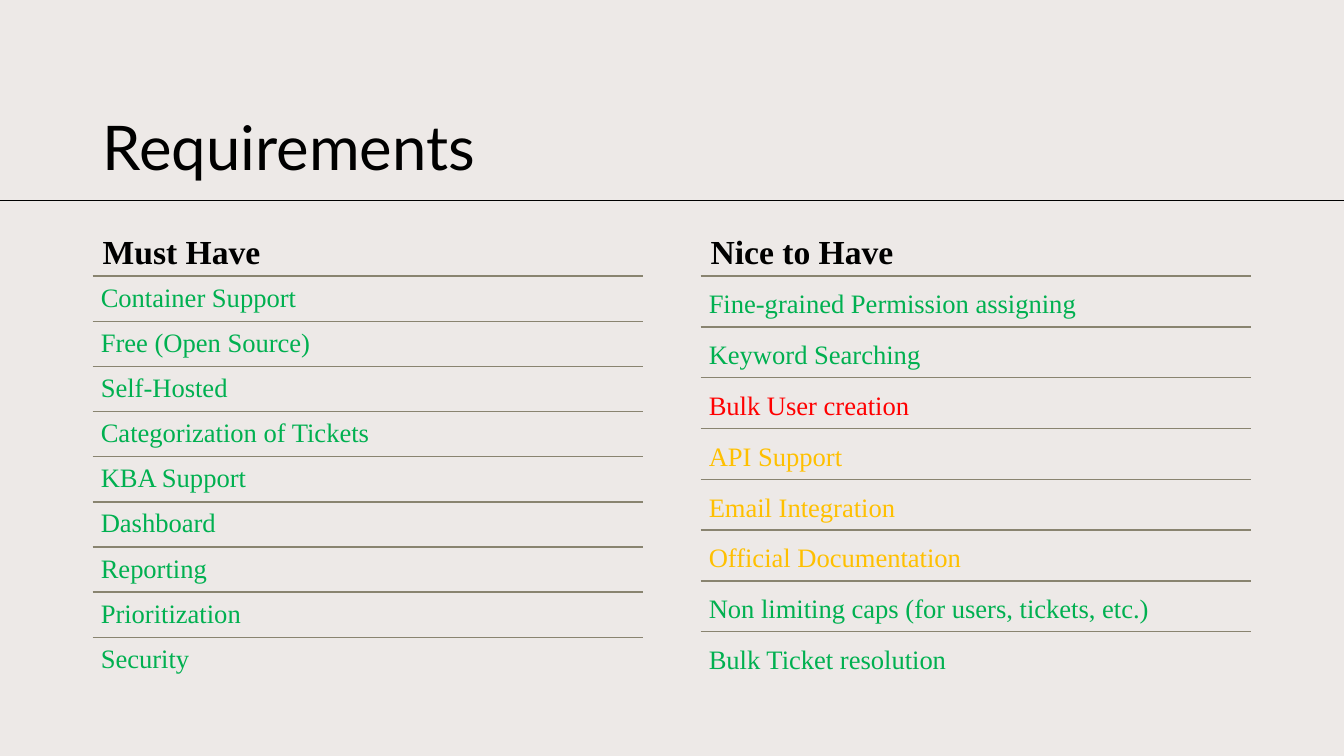
import pptx
import pptx.dml.color
import pptx.enum.shapes
import pptx.enum.text
import pptx.oxml
import pptx.oxml.ns
import pptx.util

Inches = pptx.util.Inches
Pt = pptx.util.Pt
ANCHOR = pptx.enum.text.MSO_ANCHOR

COLORS = {
    "background": "EDE9E7",
    "text": "000000",
    "divider": "898470",
    "met": "00B050",
    "partial": "FFC000",
    "unmet": "FF0000",
}
SERIF = "Times New Roman"
RULE_TOP = 1.99
LIST_TOP = 2.74
LIST_HEIGHT = 4.03
COLUMN_WIDTH = 5.46

MUST_HAVE = [
    ("Container Support", "met"),
    ("Free (Open Source)", "met"),
    ("Self-Hosted", "met"),
    ("Categorization of Tickets", "met"),
    ("KBA Support", "met"),
    ("Dashboard", "met"),
    ("Reporting", "met"),
    ("Prioritization", "met"),
    ("Security", "met"),
]
NICE_TO_HAVE = [
    ("Fine-grained Permission assigning", "met"),
    ("Keyword Searching", "met"),
    ("Bulk User creation", "unmet"),
    ("API Support", "partial"),
    ("Email Integration", "partial"),
    ("Official Documentation", "partial"),
    ("Non limiting caps (for users, tickets, etc.)", "met"),
    ("Bulk Ticket resolution", "met"),
]


def rgb(name):
    return pptx.dml.color.RGBColor.from_string(COLORS[name])


def add_rule(slide, left, top, width, color, weight):
    line = slide.shapes.add_connector(
        pptx.enum.shapes.MSO_CONNECTOR.STRAIGHT,
        Inches(left), Inches(top), Inches(left + width), Inches(top))
    line.line.color.rgb = rgb(color)
    line.line.width = Pt(weight)
    line._element.spPr.append(pptx.oxml.parse_xml(
        "<a:effectLst %s/>" % pptx.oxml.ns.nsdecls("a")))


def add_text(slide, text, box, size, color="text", font=SERIF, bold=False,
             spacing=1.1, anchor=ANCHOR.BOTTOM, inset=None):
    sp = slide.shapes.add_textbox(*(Inches(v) for v in box))
    tf = sp.text_frame
    tf.word_wrap = True
    tf.vertical_anchor = anchor
    if inset is not None:
        tf.margin_left = tf.margin_right = Inches(inset)
        tf.margin_top = tf.margin_bottom = Inches(inset)
    tf.text = text
    p = tf.paragraphs[0]
    p.line_spacing = spacing
    r = p.runs[0]
    r.font.name = font
    r.font.size = Pt(size)
    r.font.bold = bold
    r.font.color.rgb = rgb(color)


def add_column(slide, left, heading, items, spacing):
    """Place a heading above equally tall rows, each under a divider."""
    add_text(slide, heading,
             (left, RULE_TOP, COLUMN_WIDTH, LIST_TOP - RULE_TOP), 24, bold=True)
    row_height = LIST_HEIGHT / len(items)
    for i, (text, status) in enumerate(items):
        top = LIST_TOP + i * row_height
        add_rule(slide, left, top, COLUMN_WIDTH, "divider", 1)
        add_text(slide, text, (left, top, COLUMN_WIDTH, row_height), 19, status,
                 spacing=spacing, anchor=ANCHOR.TOP, inset=0.08)


def main():
    prs = pptx.Presentation()
    prs.slide_width = Inches(13.33)
    prs.slide_height = Inches(7.5)
    slide = prs.slides.add_slide(prs.slide_layouts[6])
    slide.background.fill.solid()
    slide.background.fill.fore_color.rgb = rgb("background")

    add_rule(slide, 0, RULE_TOP, 13.33, "text", 0.75)
    add_text(slide, "Requirements", (0.92, 0.42, 11.5, 1.45), 44,
             font="Lato", spacing=0.9)
    add_column(slide, 0.92, "Must Have", MUST_HAVE, 0.9)
    add_column(slide, 6.95, "Nice to Have", NICE_TO_HAVE, 1.1)
    prs.save("out.pptx")


if __name__ == "__main__":
    main()
